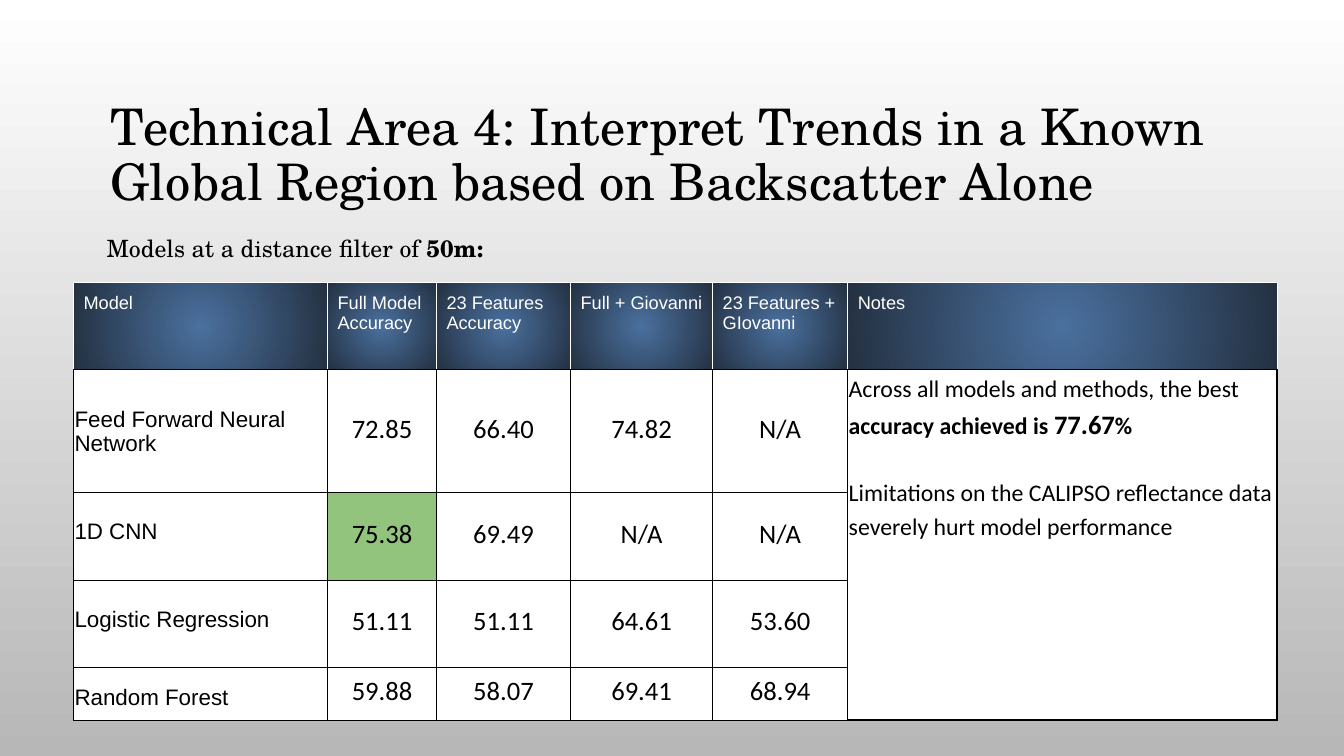
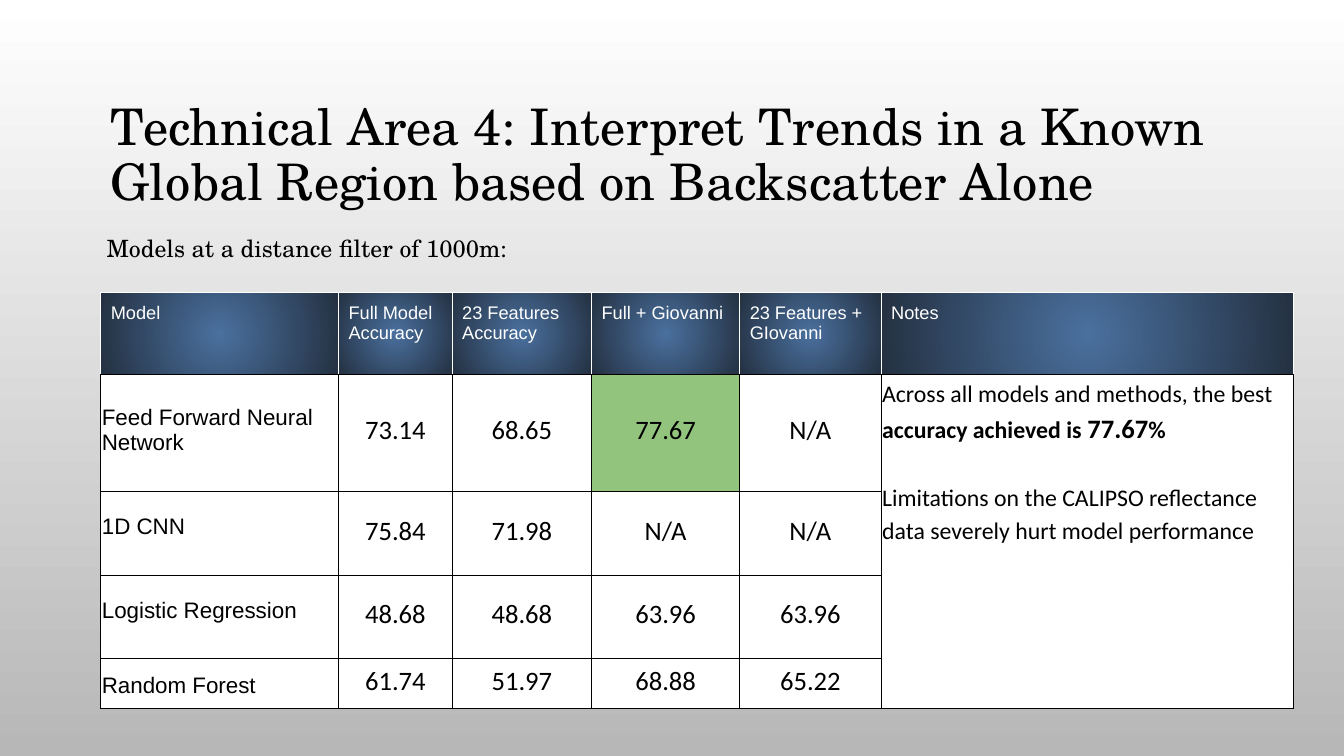
from lxml import etree
from pptx import Presentation
from pptx.dml.color import RGBColor
from pptx.enum.text import MSO_ANCHOR, PP_ALIGN
from pptx.oxml.ns import qn
from pptx.util import Pt

TOP, MIDDLE, BOTTOM = MSO_ANCHOR.TOP, MSO_ANCHOR.MIDDLE, MSO_ANCHOR.BOTTOM
CENTER = PP_ALIGN.CENTER

BLACK = RGBColor(0x00, 0x00, 0x00)
WHITE = RGBColor(0xFF, 0xFF, 0xFF)
GRAY = RGBColor(0xB7, 0xB7, 0xB7)
BLUE = RGBColor(0x4A, 0x70, 0x9E)
NAVY = RGBColor(0x24, 0x31, 0x42)
GREEN = RGBColor(0x93, 0xC4, 0x7D)

SERIF, SANS, PLAIN = "TeX Gyre Schola", "Arial", "Calibri"

TITLE = ("Technical Area 4: Interpret Trends in a Known "
         "Global Region based on Backscatter Alone")
HEADS = ["Model", "Full Model Accuracy", "23 Features Accuracy",
         "Full + Giovanni", "23 Features + GIovanni", "Notes"]
MODELS = ["Feed Forward Neural Network", "1D CNN",
          "Logistic Regression", "Random Forest"]

PAGES = [
    dict(lead="Models at a distance filter of ", strong="50m:",
         left=52.5, top=202,
         cols=[181.5, 77.8, 95.8, 101.5, 96.5, 306.7],
         rows=[62, 87.8, 62.6, 62.6, 37.4],
         scores=[["72.85", "66.40", "74.82", "N/A"],
                 ["75.38", "69.49", "N/A", "N/A"],
                 ["51.11", "51.11", "64.61", "53.60"],
                 ["59.88", "58.07", "69.41", "68.94"]],
         best="75.38"),
    dict(lead="Models at a distance filter of 1000m:", strong="",
         left=72, top=209,
         cols=[169.8, 81.2, 99.6, 105.8, 101, 294.5],
         rows=[58.4, 83.6, 59.8, 59.8, 35.4],
         scores=[["73.14", "68.65", "77.67", "N/A"],
                 ["75.84", "71.98", "N/A", "N/A"],
                 ["48.68", "48.68", "63.96", "63.96"],
                 ["61.74", "51.97", "68.88", "65.22"]],
         best="77.67"),
]


def write(para, text, size=17, font=PLAIN, color=BLACK, bold=False,
          align=None, line=None, before=None):
    """Add a run to the paragraph; calls on one paragraph join up."""
    run = para.add_run()
    run.text = text
    run.font.size = Pt(size)
    run.font.name = font
    run.font.bold = bold
    run.font.color.rgb = color
    if align is not None:
        para.alignment = align
    if line is not None:
        para.line_spacing = line
    if before is not None:
        para.space_before = Pt(before)


def blend(fill, first, last):
    fill.gradient()
    for stop, color in zip(fill.gradient_stops, (first, last)):
        stop.color.rgb = color


def inset(cell, left, top, right, bottom):
    cell.margin_left, cell.margin_top = Pt(left), Pt(top)
    cell.margin_right, cell.margin_bottom = Pt(right), Pt(bottom)


def edge(cell, color=BLACK, under=BLACK, left=0.75, right=0.75, bottom=0.75):
    """Draw the four borders; call this before the cell gets its fill."""
    props = cell._tc.get_or_add_tcPr()
    sides = (("L", left, color), ("R", right, color),
             ("T", 0.75, color), ("B", bottom, under))
    for side, width, tint in sides:
        line = etree.SubElement(props, qn("a:ln" + side), w=str(Pt(width)))
        solid = etree.SubElement(line, qn("a:solidFill"))
        etree.SubElement(solid, qn("a:srgbClr"), val=str(tint))


def paint(cell, color):
    cell.fill.solid()
    cell.fill.fore_color.rgb = color


def glow(cell):
    """Fill the cell with a gradient that spreads from its centre."""
    blend(cell.fill, BLUE, NAVY)
    grad = cell._tc.tcPr.find(qn("a:gradFill"))
    grad.remove(grad.find(qn("a:lin")))
    ring = etree.SubElement(grad, qn("a:path"), {"path": "circle"})
    etree.SubElement(ring, qn("a:fillToRect"),
                     {side: "50000" for side in "ltrb"})


class Deck:
    def __init__(self):
        self.show = Presentation()
        self.show.slide_width, self.show.slide_height = Pt(960), Pt(540)
        self.slide = None

    def page(self):
        self.slide = self.show.slides.add_slide(self.show.slide_layouts[6])
        back = self.slide.background.fill
        blend(back, WHITE, GRAY)
        back.gradient_angle = 270

    def box(self, left, top, width, height, anchor=TOP):
        shape = self.slide.shapes.add_textbox(
            Pt(left), Pt(top), Pt(width), Pt(height))
        frame = shape.text_frame
        frame.word_wrap = True
        frame.vertical_anchor = anchor
        return frame.paragraphs[0]

    def title(self, text):
        para = self.box(72, 49, 816, 126, MIDDLE)
        write(para, text, size=36, font=SERIF, line=0.9)

    def lead(self, text, strong):
        para = self.box(69, 159, 816, 36)
        write(para, text, font=SERIF, line=1.2)
        if strong:
            write(para, strong, font=SERIF, bold=True)

    def table(self, left, top, cols, rows, scores, best):
        table = self.slide.shapes.add_table(
            len(rows), len(cols), Pt(left), Pt(top),
            Pt(sum(cols)), Pt(sum(rows))).table
        table.horz_banding = False
        for col, width in zip(table.columns, cols):
            col.width = Pt(width)
        for row, height in zip(table.rows, rows):
            row.height = Pt(height)
        for col, text in enumerate(HEADS):
            self.head(table.cell(0, col), text)
        for row, (model, marks) in enumerate(zip(MODELS, scores), 1):
            self.model(table.cell(row, 0), model, row == len(MODELS))
            for col, mark in enumerate(marks, 1):
                self.score(table.cell(row, col), mark, mark == best)
        self.notes(table, len(rows) - 1, len(cols) - 1)

    def head(self, cell, text):
        inset(cell, 7.2, 7.2, 6, 7.2)
        edge(cell, color=WHITE)
        glow(cell)
        write(cell.text_frame.paragraphs[0], text, size=13, font=SANS,
              color=WHITE)

    def model(self, cell, text, last):
        inset(cell, 0.75, 0.75, 0.75, 7.2 if last else 25.6)
        cell.vertical_anchor = BOTTOM
        edge(cell, left=1)
        paint(cell, WHITE)
        write(cell.text_frame.paragraphs[0], text, size=16, font=SANS)

    def score(self, cell, text, best):
        inset(cell, 0.75, 0.75, 0.75, 7.2)
        cell.vertical_anchor = MIDDLE
        edge(cell)
        paint(cell, GREEN if best else WHITE)
        write(cell.text_frame.paragraphs[0], text, size=19, align=CENTER,
              line=1.15)

    def notes(self, table, last, col):
        for row in range(1, last + 1):
            cell = table.cell(row, col)
            inset(cell, 0.75, 0.75, 0.75, 7.2)
            edge(cell, right=1, bottom=1)
            paint(cell, WHITE)
        first = table.cell(1, col)
        first.merge(table.cell(last, col))
        para = first.text_frame.paragraphs[0]
        write(para, "Across all models and methods, the best ", line=1.15)
        write(para, "accuracy achieved is ", bold=True)
        write(para, "77.67", size=19, bold=True)
        write(para, "%", bold=True)
        write(first.text_frame.add_paragraph(),
              "Limitations on the CALIPSO reflectance data "
              "severely hurt model performance", line=1.15, before=24)


def main():
    deck = Deck()
    for data in PAGES:
        deck.page()
        deck.title(TITLE)
        deck.lead(data["lead"], data["strong"])
        deck.table(data["left"], data["top"], data["cols"], data["rows"],
                   data["scores"], data["best"])
    deck.show.save("out.pptx")


if __name__ == "__main__":
    main()
